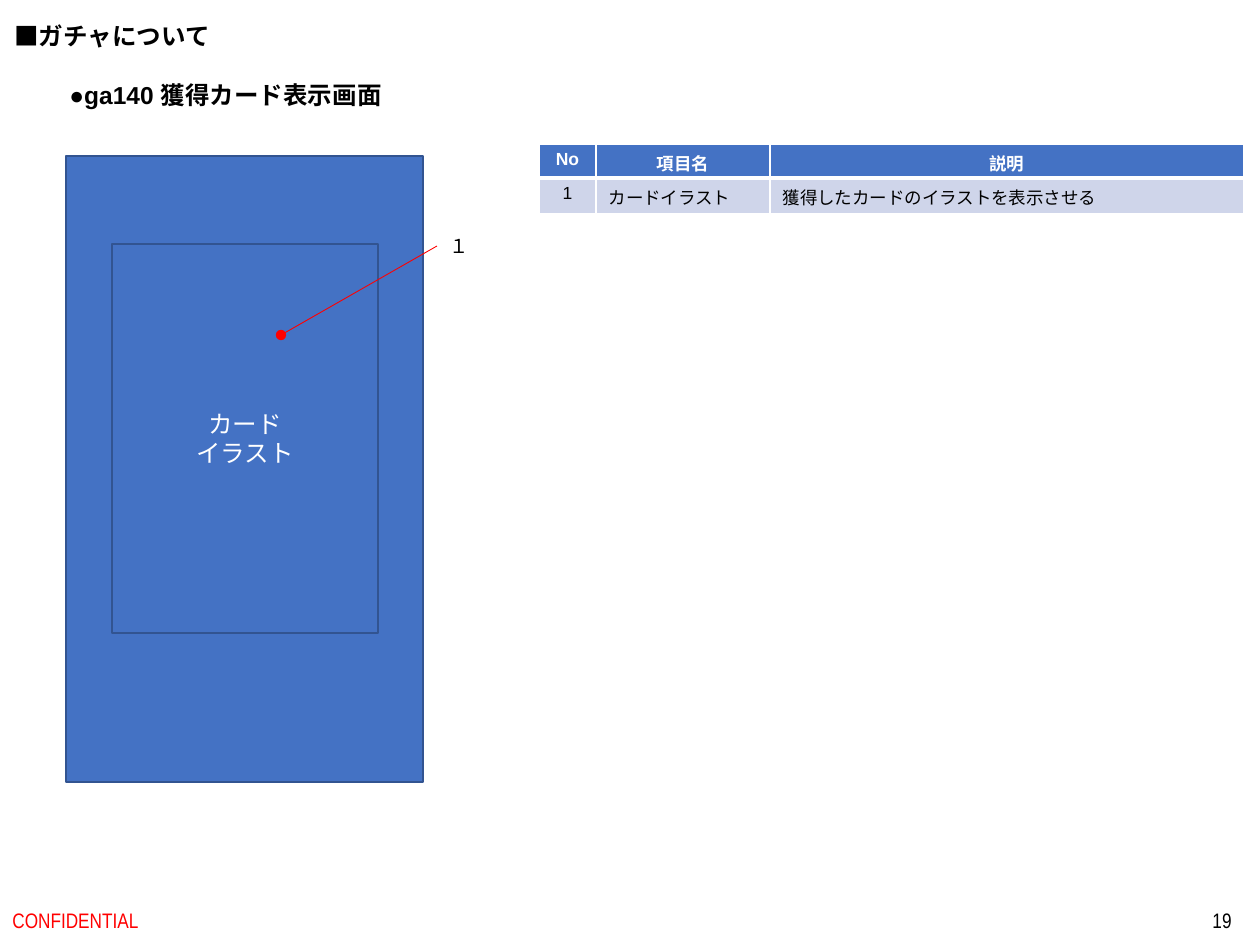
from lxml.etree import SubElement
from pptx import Presentation
from pptx.dml.color import RGBColor
from pptx.enum.shapes import MSO_CONNECTOR as Connector, MSO_SHAPE as Shape
from pptx.enum.text import MSO_ANCHOR as Anchor, MSO_AUTO_SIZE as AutoSize, PP_ALIGN as Align
from pptx.oxml.ns import qn
from pptx.util import Emu, Pt

BLUE, NAVY, PALE = "4472C4", "325491", "CFD5EA"
RED, BLACK, WHITE = "FF0000", "000000", "FFFFFF"


def px(value):
    return Emu(round(value * 914400 / 126))


def rgb(value):
    return RGBColor.from_string(value)


class SlideBuilder:
    font = "Arial"

    def __init__(self, slide):
        self.slide = slide

    def set_text(self, frame, text, size, color, align=Align.LEFT, bold=False, font=None):
        frame.text = text
        for paragraph in frame.paragraphs:
            paragraph.alignment = align
            paragraph.font.name = font or self.font
            paragraph.font.size = Pt(size)
            paragraph.font.bold = bold
            paragraph.font.color.rgb = rgb(color)

    def rectangle(self, left, top, width, height, text=None):
        shape = self.slide.shapes.add_shape(
            Shape.RECTANGLE, px(left), px(top), px(width), px(height))
        shape.shadow.inherit = False
        shape.fill.solid()
        shape.fill.fore_color.rgb = rgb(BLUE)
        shape.line.color.rgb = rgb(NAVY)
        shape.line.width = Pt(1)
        if text:
            shape.text_frame.vertical_anchor = Anchor.MIDDLE
            self.set_text(shape.text_frame, text, 14, WHITE, Align.CENTER)

    def label(self, left, top, width, height, text, size, color=BLACK, **style):
        box = self.slide.shapes.add_textbox(px(left), px(top), px(width), px(height))
        box.text_frame.word_wrap = False
        box.text_frame.auto_size = AutoSize.SHAPE_TO_FIT_TEXT
        self.set_text(box.text_frame, text, size, color, **style)
        return box

    def footer(self, left, width, text, color, align):
        box = self.slide.shapes.add_textbox(px(left), px(895), px(width), px(50))
        box.text_frame.word_wrap = True
        box.text_frame.vertical_anchor = Anchor.MIDDLE
        self.set_text(box.text_frame, text, 12, color, align, font="Arial Narrow")

    def callout(self, label, end_x, end_y):
        line = self.slide.shapes.add_connector(
            Connector.STRAIGHT, 0, 0, px(end_x), px(end_y))
        line.begin_connect(label, 1)
        line.line.color.rgb = rgb(RED)
        line.line.width = Pt(0.5)
        outline = line._element.spPr.find(qn("a:ln"))
        SubElement(outline, qn("a:tailEnd"), type="oval")
        SubElement(line._element.spPr, qn("a:effectLst"))

    def borders(self, cell, bottom):
        properties = cell._tc.get_or_add_tcPr()
        widths = {"lnL": 1, "lnR": 1, "lnT": 1, "lnB": bottom}
        for index, (side, width) in enumerate(widths.items()):
            border = SubElement(properties, qn(f"a:{side}"), w=str(int(Pt(width))))
            fill = SubElement(border, qn("a:solidFill"))
            SubElement(fill, qn("a:srgbClr"), val=WHITE)
            properties.insert(index, border)

    def table(self, left, top, widths, heights, rows):
        table = self.slide.shapes.add_table(
            len(rows), len(widths), px(left), px(top),
            px(sum(widths)), px(sum(heights))).table
        for column, width in zip(table.columns, widths):
            column.width = px(width)
        for row, height in zip(table.rows, heights):
            row.height = px(height)
        for r, texts in enumerate(rows):
            header = r == 0
            for c, text in enumerate(texts):
                cell = table.cell(r, c)
                cell.margin_top, cell.margin_bottom = px(6), px(2)
                cell.fill.solid()
                cell.fill.fore_color.rgb = rgb(BLUE if header else PALE)
                self.set_text(cell.text_frame, text, 10, WHITE if header else BLACK,
                              Align.CENTER if header or c == 0 else Align.LEFT, header)
                # The thick rule under the header is shared with the row below
                self.borders(cell, 3 if header else 1)


def main():
    presentation = Presentation()
    presentation.slide_width, presentation.slide_height = px(1260), px(945)
    slide = presentation.slides.add_slide(presentation.slide_layouts[6])
    builder = SlideBuilder(slide)

    # Screen mock-up with the card inside
    builder.rectangle(66, 156, 357, 626)
    builder.rectangle(112, 244, 266, 389, "カード\nイラスト")

    # Footer
    builder.footer(0, 426, "CONFIDENTIAL", RED, Align.LEFT)
    builder.footer(960, 284, "19", BLACK, Align.RIGHT)

    # Headings
    builder.label(2, 15, 223, 43, "■ガチャについて", 14, bold=True)
    builder.label(57, 74, 364, 43, "●ga140 獲得カード表示画面", 14, bold=True)

    # Item descriptions
    builder.table(539, 144, [57, 174, 474], [34, 36], [
        ["No", "項目名", "説明"],
        ["1", "カードイラスト", "獲得したカードのイラストを表示させる"],
    ])

    # Numbered callout
    number = builder.label(437, 228, 45, 36, "１", 11, align=Align.CENTER)
    builder.callout(number, 281, 335)

    presentation.save("out.pptx")


if __name__ == "__main__":
    main()
